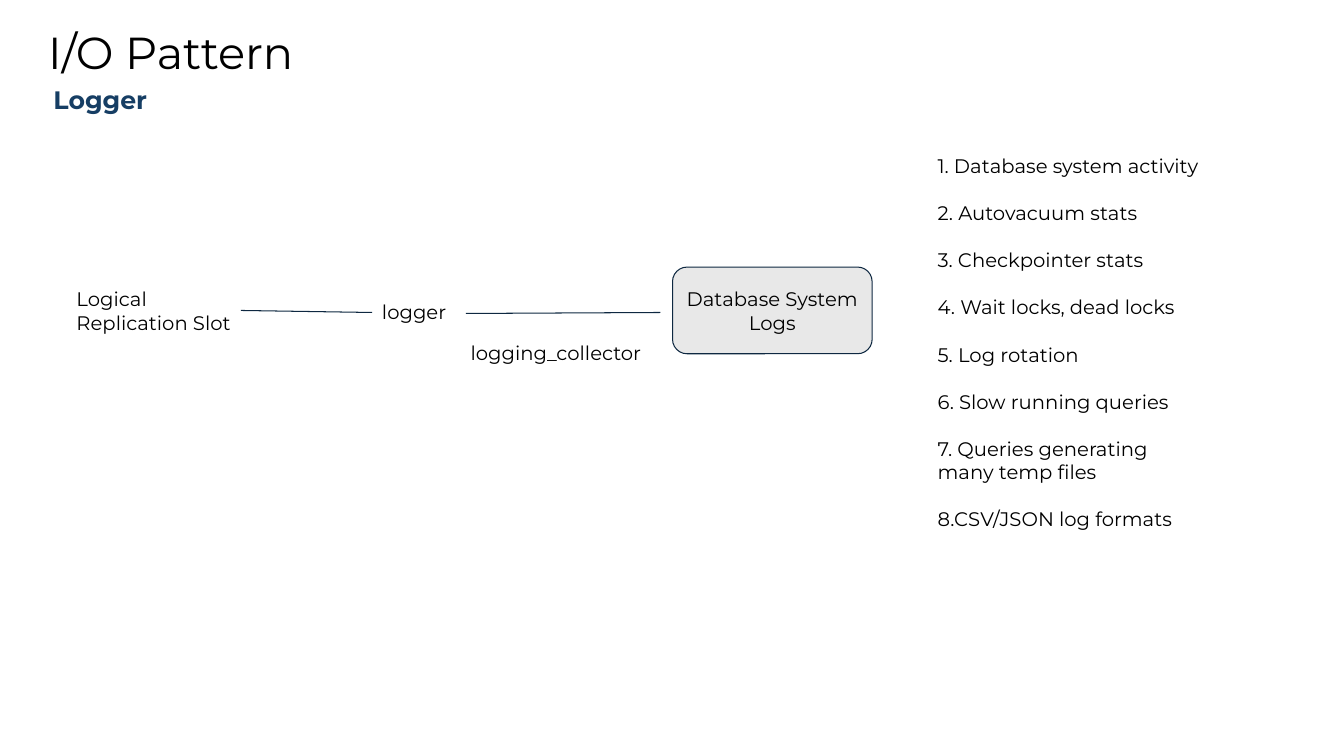
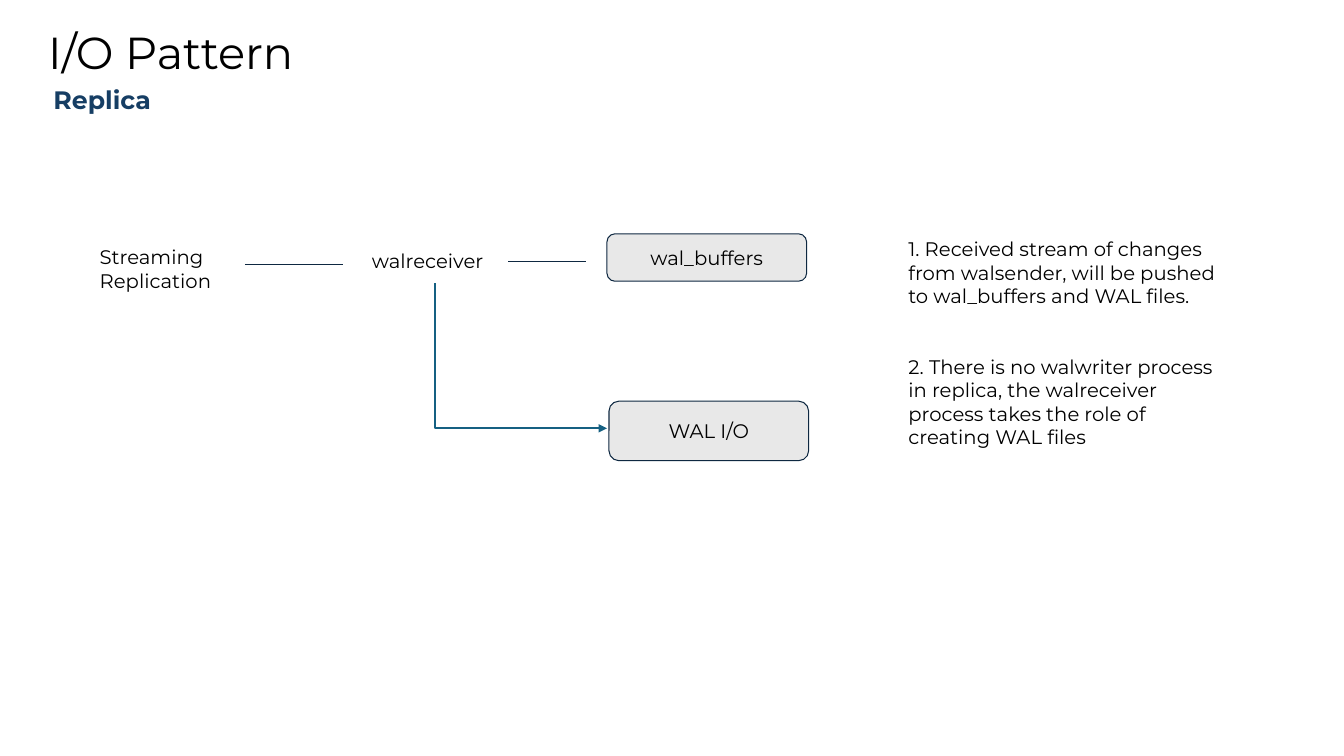
from dataclasses import dataclass
from typing import Any, NamedTuple, Optional, Union

from lxml.etree import SubElement
from pptx import Presentation
from pptx.dml.color import RGBColor
from pptx.enum.shapes import MSO_CONNECTOR, MSO_SHAPE
from pptx.enum.text import MSO_ANCHOR, PP_ALIGN
from pptx.oxml.ns import qn
from pptx.util import Emu, Pt

EMU_PER_PX = 9144
SLIDE_WIDTH, SLIDE_HEIGHT = 1333, 750
INSET = 10
NOTE_INSET = 26

BLACK = RGBColor(0x00, 0x00, 0x00)
NAVY = RGBColor(0x0E, 0x28, 0x41)
SUBTITLE_BLUE = RGBColor(0x16, 0x3E, 0x64)
ARROW_TEAL = RGBColor(0x15, 0x60, 0x82)
STORE_GREY = RGBColor(0xE8, 0xE8, 0xE8)

BODY_FONT = {"name": "Montserrat", "size": Pt(14), "bold": False}
TITLE_FONT = BODY_FONT | {"size": Pt(32)}
SUBTITLE_FONT = BODY_FONT | {"size": Pt(18), "bold": True}
HEADING_PARAGRAPH = {"line_spacing": 0.9}
STORE_PARAGRAPH = {"alignment": PP_ALIGN.CENTER}

TOP, LEFT, BOTTOM, RIGHT = range(4)


class Box(NamedTuple):
    left: int
    top: int
    width: int
    height: int


class Point(NamedTuple):
    x: int
    y: int


class Anchor(NamedTuple):
    label: str
    side: int


@dataclass(frozen=True)
class Label:
    text: str
    box: Box


@dataclass(frozen=True)
class Link:
    start: Union[Point, Anchor]
    end: Union[Point, Anchor]


@dataclass(frozen=True)
class Notes:
    items: list[str]
    box: Box
    gap: float


@dataclass(frozen=True)
class Pattern:
    subtitle: str
    processes: list[Label]
    stores: list[Label]
    links: list[Link]
    notes: Notes
    arrow: Optional[Link] = None


TITLE = Label("I/O Pattern", Box(38, 21, 419, 72))
SUBTITLE_BOX = Box(53, 87, 319, 27)

PATTERNS = [
    Pattern(
        subtitle="Logger",
        processes=[
            Label("Logical\nReplication Slot", Box(66, 275, 188, 67)),
            Label("logger", Box(369, 288, 145, 44)),
            Label("logging_collector", Box(457, 328, 210, 44)),
        ],
        stores=[Label("Database System Logs", Box(667, 265, 198, 86))],
        links=[
            Link(Point(462, 311), Point(655, 310)),
            Link(Point(239, 308), Anchor("logger", LEFT)),
        ],
        notes=Notes(
            [
                "1. Database system activity",
                "2. Autovacuum stats",
                "3. Checkpointer stats",
                "4. Wait locks, dead locks",
                "5. Log rotation",
                "6. Slow running queries",
                "7. Queries generating many temp files",
                "8.CSV/JSON log formats",
            ],
            Box(904, 143, 297, 397),
            gap=16.8,
        ),
    ),
    Pattern(
        subtitle="Replica",
        processes=[
            Label("Streaming Replication", Box(89, 233, 172, 67)),
            Label("walreceiver", Box(359, 237, 145, 44)),
        ],
        stores=[
            Label("WAL I/O", Box(604, 398, 198, 59)),
            Label("wal_buffers", Box(602, 232, 198, 47)),
        ],
        links=[
            Link(Point(243, 262), Point(340, 262)),
            Link(Anchor("walreceiver", RIGHT), Point(581, 259)),
        ],
        notes=Notes(
            [
                "1. Received stream of changes from walsender, "
                "will be pushed to wal_buffers and WAL files.",
                "2. There is no walwriter process in replica, the walreceiver "
                "process takes the role of creating WAL files",
            ],
            Box(875, 225, 353, 232),
            gap=33.6,
        ),
        arrow=Link(Point(431, 281), Point(602, 425)),
    ),
]


def px(length: float) -> Emu:
    return Emu(round(length * EMU_PER_PX))


def apply_format(target: Any, values: dict[str, Any]) -> None:
    for name, value in values.items():
        setattr(target, name, value)


def write_text(
    shape: Any,
    texts: list[str],
    font: dict[str, Any] = BODY_FONT,
    color: RGBColor = BLACK,
    paragraph_format: Optional[dict[str, Any]] = None,
    gap: float = 0,
    inset: int = INSET,
    left_inset: int = INSET,
    anchor: MSO_ANCHOR = MSO_ANCHOR.TOP,
) -> None:
    frame = shape.text_frame
    apply_format(frame, {
        "word_wrap": True,
        "vertical_anchor": anchor,
        "margin_left": px(left_inset),
        "margin_top": px(inset),
        "margin_right": px(inset),
        "margin_bottom": px(inset),
    })
    for index, text in enumerate(texts):
        paragraph = frame.add_paragraph() if index else frame.paragraphs[0]
        paragraph.text = text
        apply_format(paragraph, paragraph_format or {})
        if index:
            paragraph.space_before = Pt(gap)
        for run in paragraph.runs:
            apply_format(run.font, font)
            run.font.color.rgb = color


def add_text(slide: Any, box: Box, texts: list[str], **options: Any) -> Any:
    shape = slide.shapes.add_textbox(*map(px, box))
    write_text(shape, texts, **options)
    return shape


def add_store(slide: Any, store: Label) -> None:
    shape = slide.shapes.add_shape(MSO_SHAPE.ROUNDED_RECTANGLE, *map(px, store.box))
    shape.shadow.inherit = False
    shape.fill.solid()
    shape.fill.fore_color.rgb = STORE_GREY
    shape.line.color.rgb = NAVY
    shape.line.width = Pt(0.75)
    write_text(shape, [store.text], paragraph_format=STORE_PARAGRAPH, anchor=MSO_ANCHOR.MIDDLE)


def add_line(
    slide: Any, kind: MSO_CONNECTOR, start: Point, end: Point, color: RGBColor, width: float
) -> Any:
    line = slide.shapes.add_connector(kind, *map(px, (*start, *end)))
    line.line.color.rgb = color
    line.line.width = Pt(width)
    SubElement(line._element.spPr, qn("a:effectLst"))
    return line


def add_link(slide: Any, link: Link, labels: dict[str, Any]) -> None:
    ends = [Point(0, 0) if isinstance(end, Anchor) else end for end in (link.start, link.end)]
    line = add_line(slide, MSO_CONNECTOR.STRAIGHT, *ends, NAVY, 0.75)
    for end, connect in ((link.start, line.begin_connect), (link.end, line.end_connect)):
        if isinstance(end, Anchor):
            connect(labels[end.label], end.side)


def add_down_then_right_arrow(slide: Any, arrow: Link) -> None:
    across = arrow.end.x - arrow.start.x
    down = arrow.end.y - arrow.start.y
    left = arrow.start.x + (across - down) / 2
    top = arrow.start.y + (down - across) / 2
    line = add_line(
        slide, MSO_CONNECTOR.ELBOW,
        Point(left + down, top), Point(left, top + across), ARROW_TEAL, 1.5,
    )
    properties = line._element.spPr
    properties.find(qn("a:xfrm")).set("rot", str(270 * 60000))
    properties.find(qn("a:prstGeom")).set("prst", "bentConnector2")
    SubElement(properties.find(qn("a:ln")), qn("a:tailEnd"), type="triangle")


def add_pattern(deck: Any, pattern: Pattern) -> None:
    slide = deck.slides.add_slide(deck.slide_layouts[6])
    add_text(slide, TITLE.box, [TITLE.text], font=TITLE_FONT, paragraph_format=HEADING_PARAGRAPH)
    add_text(
        slide, SUBTITLE_BOX, [pattern.subtitle], font=SUBTITLE_FONT, color=SUBTITLE_BLUE,
        paragraph_format=HEADING_PARAGRAPH, inset=0, left_inset=0,
    )
    labels = {
        process.text: add_text(slide, process.box, [process.text])
        for process in pattern.processes
    }
    for store in pattern.stores:
        add_store(slide, store)
    for link in pattern.links:
        add_link(slide, link, labels)
    notes = pattern.notes
    add_text(slide, notes.box, notes.items, gap=notes.gap, left_inset=NOTE_INSET)
    if pattern.arrow:
        add_down_then_right_arrow(slide, pattern.arrow)


def main() -> None:
    deck = Presentation()
    apply_format(deck, {"slide_width": px(SLIDE_WIDTH), "slide_height": px(SLIDE_HEIGHT)})
    for pattern in PATTERNS:
        add_pattern(deck, pattern)
    deck.save("out.pptx")


if __name__ == "__main__":
    main()
